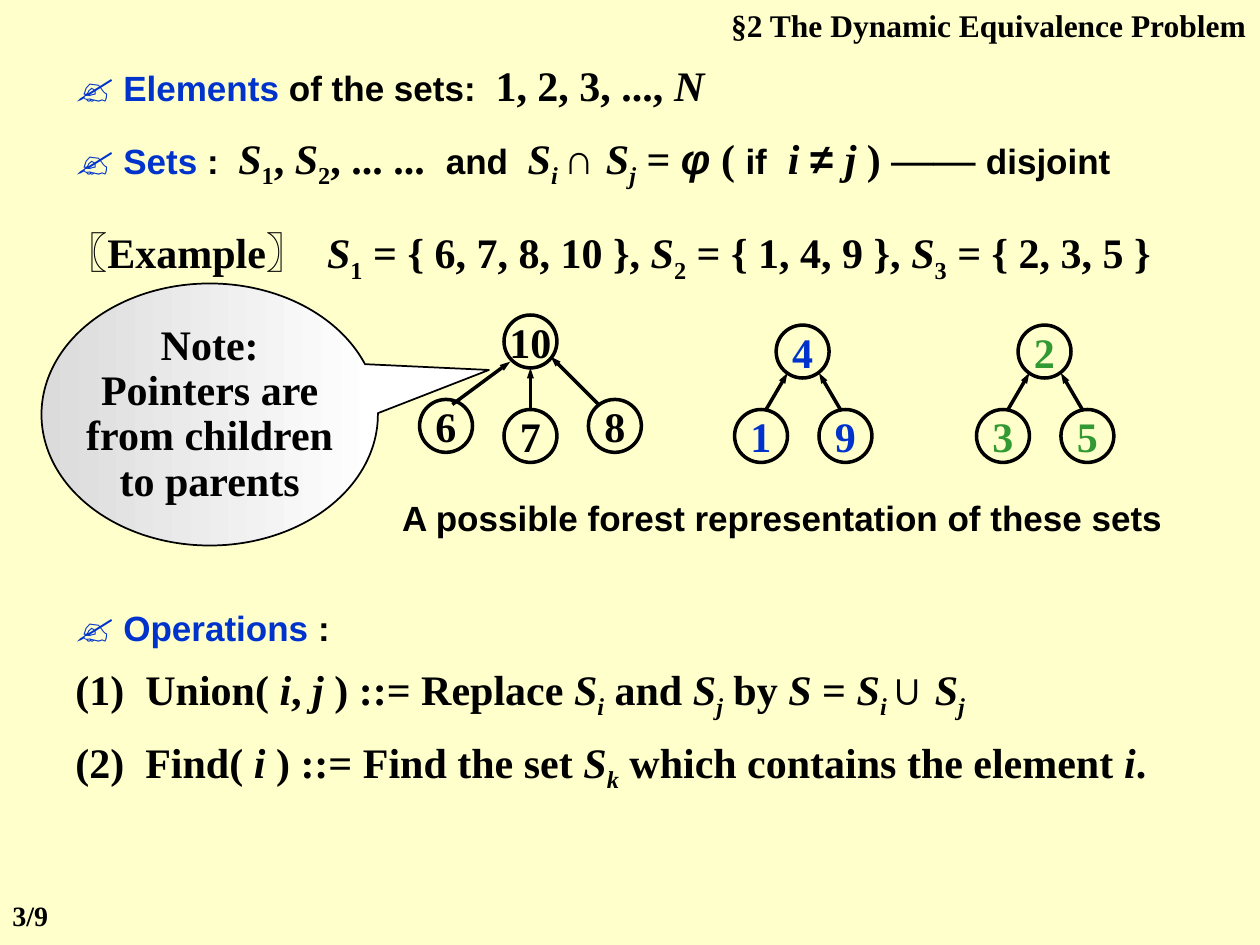
from lxml import etree
from pptx import Presentation
from pptx.dml.color import RGBColor
from pptx.enum.shapes import MSO_CONNECTOR as CONNECTOR, MSO_SHAPE as SHAPE
from pptx.enum.text import MSO_ANCHOR as ANCHOR, PP_ALIGN as ALIGN
from pptx.oxml.ns import qn
from pptx.util import Inches, Pt

BLACK = RGBColor(0x00, 0x00, 0x00)
WHITE = RGBColor(0xFF, 0xFF, 0xFF)
BLUE = RGBColor(0x00, 0x33, 0xCC)
GREEN = RGBColor(0x33, 0x99, 0x33)
GREY = RGBColor(0xDB, 0xDB, 0xDB)
CREAM = RGBColor(0xFF, 0xFF, 0xCC)
SERIF, SANS = "Times New Roman", "Arial"

# Run styles; an empty style is bold 24 pt serif
PLAIN = {}
VAR = dict(italic=True)
SUB = dict(base=-25)
SUBVAR = dict(italic=True, base=-25)
SYMBOL = dict(font=SANS)
WORD = dict(font=SANS, size=20)
KEY = dict(font=SANS, size=20, color=BLUE)
HAND = ("✍", dict(font=SANS, color=BLUE))


def add_text(para, text, size=24, font=SERIF, color=BLACK, italic=False, base=0):
    span = para.add_run()
    span.text = text
    span.font.size, span.font.name = Pt(size), font
    span.font.bold, span.font.italic = True, italic
    span.font.color.rgb = color
    if base:
        span.font._element.set("baseline", str(base * 1000))


def add_box(left, top, width, height, paras, align=ALIGN.LEFT, before=0, after=0, spacing=1.0):
    box = page.shapes.add_textbox(Inches(left), Inches(top), Inches(width), Inches(height))
    frame = box.text_frame
    frame.word_wrap = True
    for number, spans in enumerate(paras):
        para = frame.add_paragraph() if number else frame.paragraphs[0]
        para.alignment, para.line_spacing = align, spacing
        para.space_before = Pt(0 if number else before)
        para.space_after = Pt(after)
        for text, style in spans:
            add_text(para, text, **style)
    return frame


deck = Presentation()
deck.slide_width, deck.slide_height = Inches(10), Inches(7.5)
page = deck.slides.add_slide(deck.slide_layouts[6])
page.background.fill.solid()
page.background.fill.fore_color.rgb = CREAM

# Section title and page number
add_box(5.08, 0, 4.91, 0.4, [[("§2 The Dynamic Equivalence Problem", dict(size=18))]],
        align=ALIGN.RIGHT, before=11.2)
add_box(0, 7.08, 0.92, 0.37, [[("3/9", dict(size=16))]], before=10)

# Elements, sets and example
add_box(0.5, 0.42, 6.33, 0.5, [[
    HAND, (" Elements", KEY), (" of the sets:  ", WORD), ("1, 2, 3, ..., ", PLAIN), ("N", VAR),
]], before=15)
add_box(0.5, 1, 8.5, 0.56, [[
    HAND, (" Sets ", KEY), (":  ", WORD),
    ("S", VAR), ("1", SUB), (", ", PLAIN), ("S", VAR), ("2", SUB), (", ... ...  ", PLAIN),
    ("and  ", WORD), ("S", VAR), ("i ", SUBVAR), ("∩ ", SYMBOL), ("S", VAR), ("j", SUBVAR),
    (" = ", PLAIN), ("φ", dict(font=SANS, italic=True)), (" ( ", PLAIN), ("if", WORD),
    ("  ", PLAIN), ("i ", VAR), ("≠ ", SYMBOL), ("j", VAR), (" ) —— ", PLAIN), ("disjoint", WORD),
]], before=12.5)
add_box(0.42, 1.75, 9.08, 0.56, [[
    ("〖Example〗  ", PLAIN),
    ("S", VAR), ("1", SUB), (" = { 6, 7, 8, 10 }, ", PLAIN),
    ("S", VAR), ("2", SUB), (" = { 1, 4, 9 }, ", PLAIN),
    ("S", VAR), ("3", SUB), (" = { 2, 3, 5 }", PLAIN),
]], before=15)

# Forest: nodes as (label, left, top, colour), pointers from child to parent
nodes = [("10", 4, 2.5, BLACK), ("6", 3.33, 3.17, BLACK),
         ("8", 4.67, 3.17, BLACK), ("7", 4, 3.25, BLACK)]
pointers = [(3.59, 3.21, 4.05, 2.87), (4.75, 3.21, 4.37, 2.83), (4.21, 3.25, 4.21, 2.92)]
for left, labels, color in [(5.83, "419", BLUE), (7.75, "235", GREEN)]:
    root, first, second = labels
    nodes += [(root, left + 0.33, 2.58, color), (first, left, 3.25, color),
              (second, left + 0.67, 3.25, color)]
    pointers += [(left + 0.25, 3.25, left + 0.42, 2.96), (left + 0.84, 3.25, left + 0.67, 2.96)]

for label, left, top, color in nodes:
    node = page.shapes.add_shape(SHAPE.OVAL, Inches(left), Inches(top), Inches(0.42), Inches(0.42))
    node.shadow.inherit = False
    node.fill.background()
    node.line.color.rgb, node.line.width = BLACK, Pt(2)
    frame = node.text_frame
    frame.word_wrap, frame.vertical_anchor = False, ANCHOR.MIDDLE
    frame.paragraphs[0].alignment = ALIGN.CENTER
    add_text(frame.paragraphs[0], label, color=color)

for ends in pointers:
    pointer = page.shapes.add_connector(CONNECTOR.STRAIGHT, *[Inches(end) for end in ends])
    pointer.line.color.rgb, pointer.line.width = BLACK, Pt(2)
    etree.SubElement(pointer.line._get_or_add_ln(), qn("a:tailEnd"), type="triangle", w="sm", len="med")
    etree.SubElement(pointer._element.spPr, qn("a:effectLst"))

add_box(2.75, 3.93, 6.92, 0.4, [[("A possible forest representation of these sets", WORD)]],
        align=ALIGN.CENTER, spacing=0.9)

# Callout
note = page.shapes.add_shape(SHAPE.OVAL_CALLOUT, Inches(0.33), Inches(2.25), Inches(2.67), Inches(2.08))
note.adjustments[0], note.adjustments[1] = 0.83, -0.17
note.shadow.inherit = False
note.fill.gradient()
note.fill.gradient_angle = 0
for stop, color, position in zip(note.fill.gradient_stops, (GREY, WHITE), (0, 1)):
    stop.color.rgb, stop.position = color, position
note.line.color.rgb, note.line.width = BLACK, Pt(1)
frame = note.text_frame
frame.word_wrap, frame.vertical_anchor = False, ANCHOR.MIDDLE
for number, line in enumerate(["Note:", "Pointers are", "from children", "to parents"]):
    para = frame.add_paragraph() if number else frame.paragraphs[0]
    para.alignment, para.line_spacing = ALIGN.CENTER, 0.9
    add_text(para, line)

# Operations
frame = add_box(0.5, 4.71, 8.75, 1.64, [
    [HAND, (" Operations ", KEY), (":", WORD)],
    [("(1)  Union( ", PLAIN), ("i", VAR), (", ", PLAIN), ("j ", VAR), (") ::= Replace ", PLAIN),
     ("S", VAR), ("i", SUBVAR), (" and ", PLAIN), ("S", VAR), ("j", SUBVAR), (" by ", PLAIN),
     ("S", VAR), (" = ", PLAIN), ("S", VAR), ("i ", SUBVAR), ("∪ ", SYMBOL), ("S", VAR),
     ("j", SUBVAR)],
    [("(2)  Find( ", PLAIN), ("i", VAR), (" ) ::= Find the set ", PLAIN), ("S", VAR),
     ("k", SUBVAR), (" which contains the element ", PLAIN), ("i", VAR), (".", PLAIN)],
], before=12.5, after=9)
frame.paragraphs[0].space_after = Pt(7.5)

deck.save("out.pptx")
